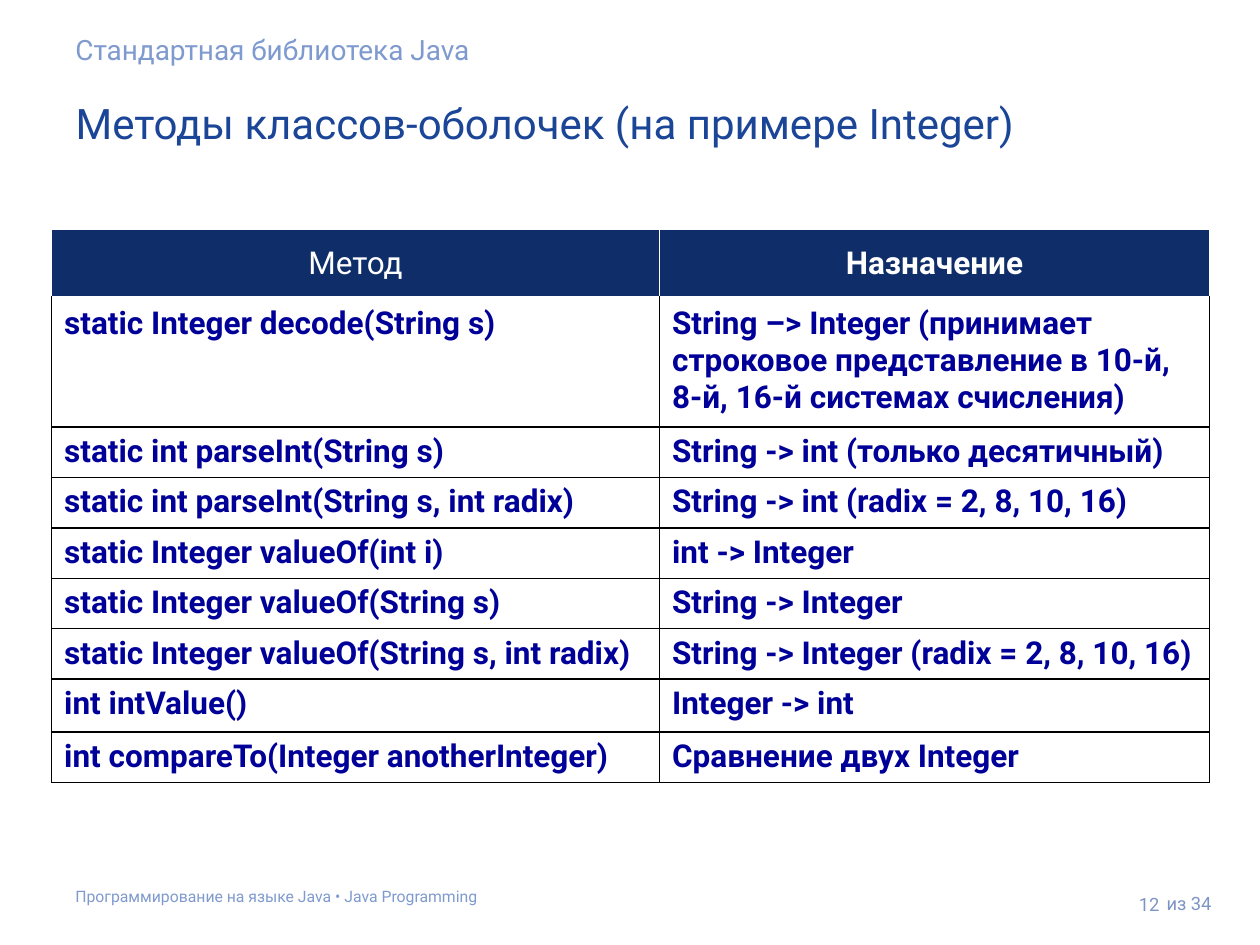
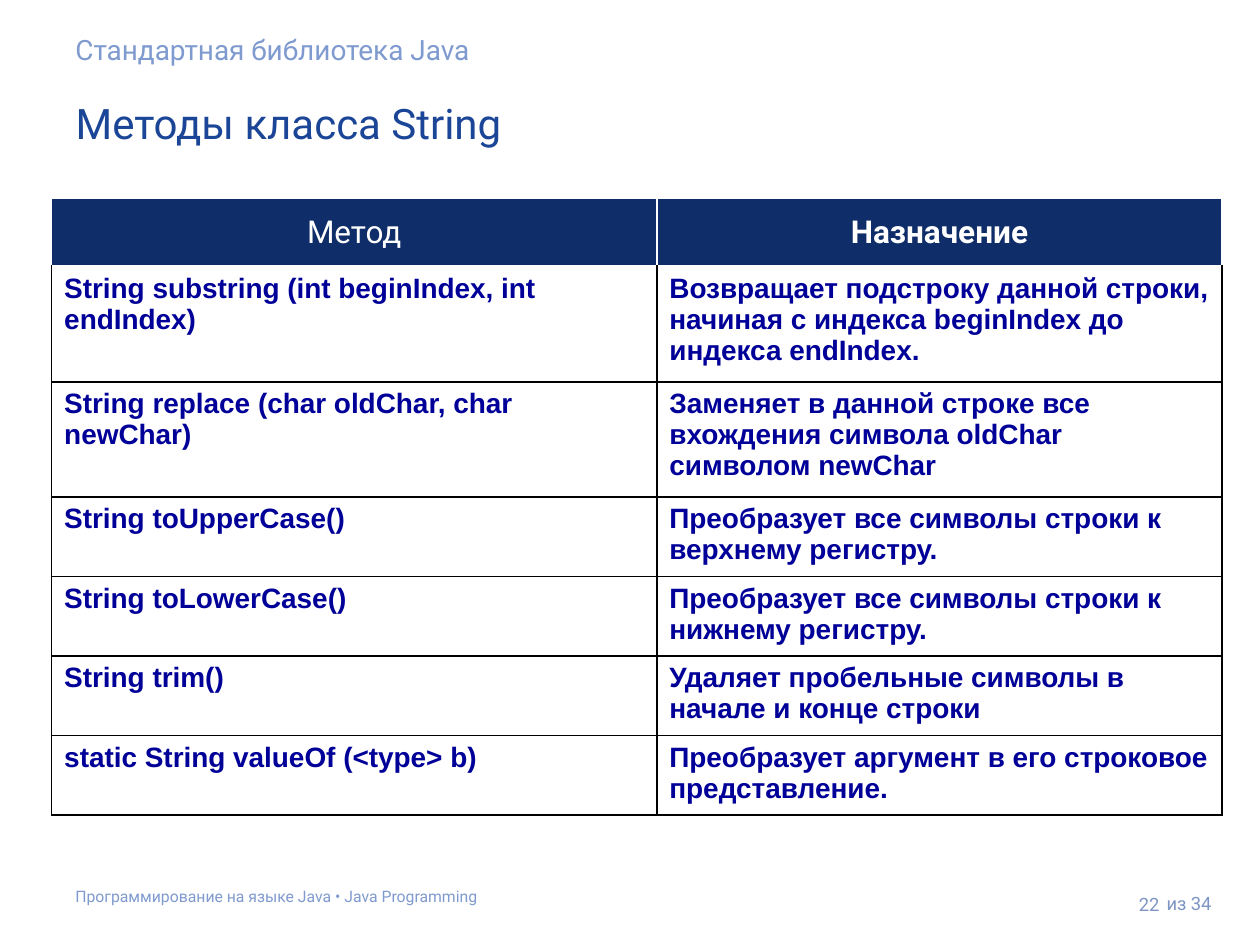
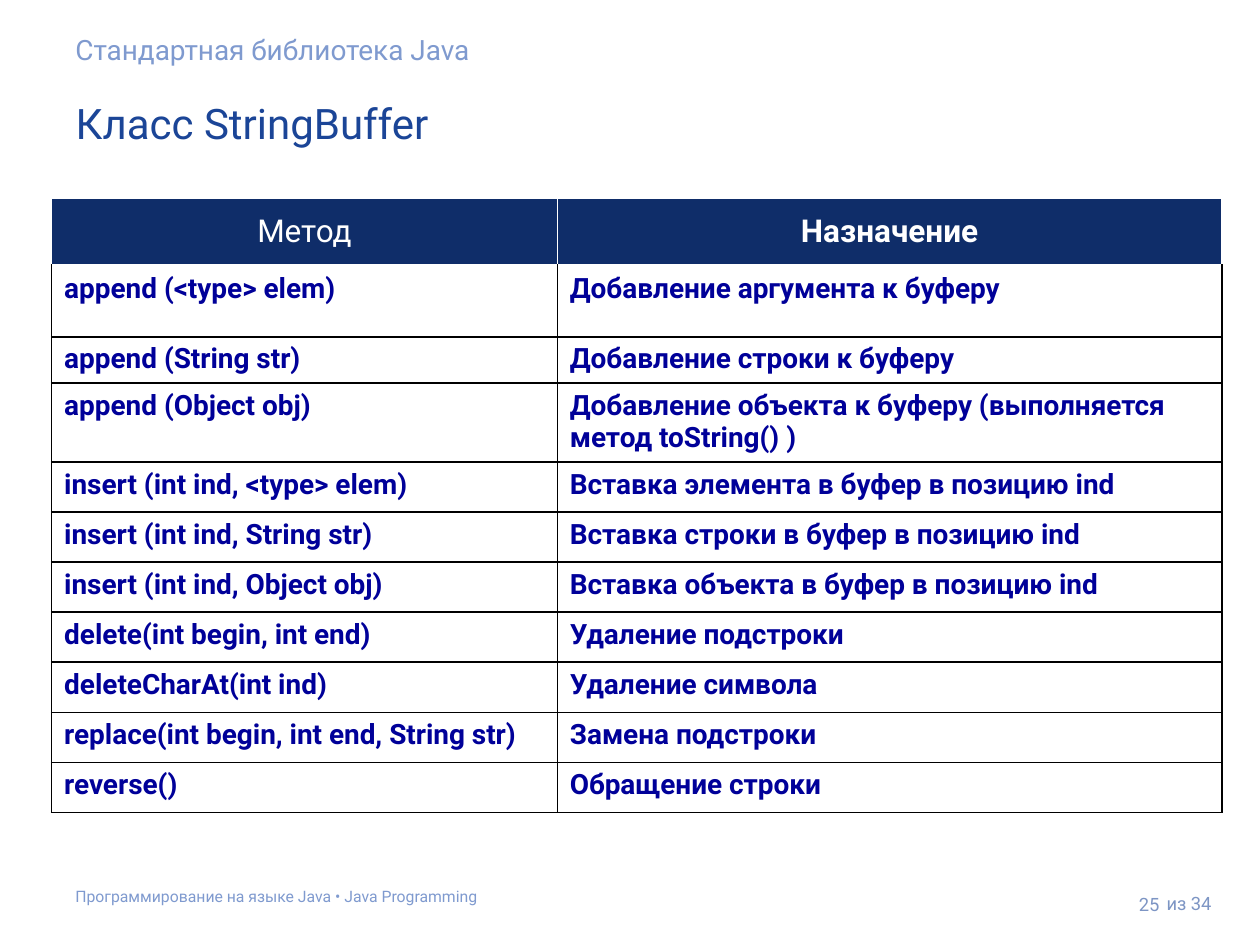
from dataclasses import dataclass

from lxml import etree
from pptx import Presentation
from pptx import util as u
from pptx.dml.color import RGBColor
from pptx.enum import text
from pptx.oxml.ns import qn


@dataclass(frozen=True)
class TextStyle:
    """Type settings of one kind of text."""

    size: float
    color: str
    font: str = "Roboto"
    bold: bool = False
    align: text.PP_ALIGN = text.PP_ALIGN.LEFT


@dataclass(frozen=True)
class Theme:
    """Colours and type sizes used by every slide."""

    title: TextStyle = TextStyle(24, "1B4597")
    section: TextStyle = TextStyle(16, "7F9ACF")
    footer: TextStyle = TextStyle(9, "7F9ACF")
    page: TextStyle = TextStyle(10.5, "7D95C4", align=text.PP_ALIGN.RIGHT)
    total: TextStyle = TextStyle(10.5, "7D95C4")
    heading_method: TextStyle = TextStyle(18, "FFFFFF", align=text.PP_ALIGN.CENTER)
    heading_purpose: TextStyle = TextStyle(18, "FFFFFF", bold=True, align=text.PP_ALIGN.CENTER)
    body_color: str = "000099"
    heading_fill: str = "0F2D69"
    light_line: str = "FFFFFF"
    dark_line: str = "000000"


@dataclass(frozen=True)
class Box:
    """A rectangle in inches."""

    left: float
    top: float
    width: float
    height: float

    def place(self) -> tuple[int, ...]:
        """Return the rectangle in slide units."""
        return tuple(u.Inches(n) for n in (self.left, self.top, self.width, self.height))


@dataclass(frozen=True)
class Label:
    """A text that stands at the same place on every slide."""

    wording: str
    box: Box
    style: TextStyle
    anchor: text.MSO_ANCHOR = text.MSO_ANCHOR.TOP
    margin: float = 0.1


@dataclass(frozen=True)
class MethodSlide:
    """A slide with a table of methods; row shares include the heading row."""

    title: str
    page: int
    box: Box
    method_share: float
    row_shares: tuple[float, ...]
    methods: tuple[tuple[str, str], ...]
    size: float = 16
    font: str = "Roboto"


THEME = Theme()
MIDDLE = text.MSO_ANCHOR.MIDDLE
TITLE_BOX = Box(0.5, 0.67, 9.19, 0.61)
PAGE_BOX = Box(8.7, 6.89, 0.6, 0.57)
HEADINGS = (("Метод", THEME.heading_method), ("Назначение", THEME.heading_purpose))
LABELS = (
    Label("Программирование на языке Java • Java Programming", Box(0.5, 6.94, 9, 0.35), THEME.footer),
    Label("из 34", Box(9.16, 6.97, 0.69, 0.4), THEME.total, MIDDLE, 0.05),
    Label("Стандартная библиотека Java", Box(0.5, 0.16, 9.19, 0.47), THEME.section),
)
SLIDES = (
    MethodSlide(
        "Методы классов-оболочек (на примере Integer)", 12,
        Box(0.41, 1.82, 9.19, 4.39), 0.525,
        (0.55, 1.02, *[0.4] * 5, 0.42, 0.4),
        (
            ("static Integer decode(String s)",
             "String –> Integer (принимает строковое представление в 10-й, 8-й, 16-й системах счисления)"),
            ("static int parseInt(String s)", "String -> int (только десятичный)"),
            ("static int parseInt(String s, int radix)", "String -> int (radix = 2, 8, 10, 16)"),
            ("static Integer valueOf(int i)", "int -> Integer"),
            ("static Integer valueOf(String s)", "String -> Integer"),
            ("static Integer valueOf(String s, int radix)", "String -> Integer (radix = 2, 8, 10, 16)"),
            ("int intValue()", "Integer -> int"),
            ("int compareTo(Integer anotherInteger)", "Сравнение двух Integer"),
        ),
        size=18,
    ),
    MethodSlide(
        "Методы класса String", 22,
        Box(0.41, 1.57, 9.29, 4.9), 0.517,
        (0.55, 0.91, 0.91, *[0.63] * 4),
        (
            ("String substring (int beginIndex, int endIndex)",
             "Возвращает подстроку данной строки, начиная с индекса beginIndex до индекса endIndex."),
            ("String replace (char oldChar, char newChar)",
             "Заменяет в данной строке все вхождения символа oldChar символом newChar"),
            ("String toUpperCase()", "Преобразует все символы строки к верхнему регистру."),
            ("String toLowerCase()", "Преобразует все символы строки к нижнему регистру."),
            ("String trim()", "Удаляет пробельные символы в начале и конце строки"),
            ("static String valueOf (<type> b)", "Преобразует аргумент в его строковое представление."),
        ),
        font="Arial",
    ),
    MethodSlide(
        "Класс StringBuffer", 25,
        Box(0.41, 1.57, 9.29, 4.88), 0.432,
        (0.55, 0.56, 0.37, 0.63, *[0.4] * 7),
        (
            ("append (<type> elem)", "Добавление аргумента к буферу"),
            ("append (String str)", "Добавление строки к буферу"),
            ("append (Object obj)", "Добавление объекта к буферу (выполняется метод toString() )"),
            ("insert (int ind, <type> elem)", "Вставка элемента в буфер в позицию ind"),
            ("insert (int ind, String str)", "Вставка строки в буфер в позицию ind"),
            ("insert (int ind, Object obj)", "Вставка объекта в буфер в позицию ind"),
            ("delete(int begin, int end)", "Удаление подстроки"),
            ("deleteCharAt(int ind)", "Удаление символа"),
            ("replace(int begin, int end, String str)", "Замена подстроки"),
            ("reverse()", "Обращение строки"),
        ),
    ),
)


def write(frame, wording: str, style: TextStyle):
    """Fill a text frame with one styled paragraph and return it."""
    frame.text = wording
    paragraph = frame.paragraphs[0]
    paragraph.alignment = style.align
    font = paragraph.font
    font.size, font.name, font.bold = u.Pt(style.size), style.font, style.bold
    font.color.rgb = RGBColor.from_string(style.color)
    return paragraph


def fit_frame(frame, anchor: text.MSO_ANCHOR, margin: float) -> None:
    """Set wrapping, anchor and insets of a text frame."""
    frame.word_wrap = True
    frame.auto_size = text.MSO_AUTO_SIZE.NONE
    frame.vertical_anchor = anchor
    frame.margin_left = frame.margin_right = u.Inches(0.1)
    frame.margin_top = frame.margin_bottom = u.Inches(margin)


def add_label(slide, label: Label) -> None:
    """Draw one label as a text box."""
    frame = slide.shapes.add_textbox(*label.box.place()).text_frame
    fit_frame(frame, label.anchor, label.margin)
    write(frame, label.wording, label.style)


def set_title(slide, wording: str) -> None:
    """Place and format the title placeholder."""
    title = slide.shapes.title
    title.left, title.top, title.width, title.height = TITLE_BOX.place()
    fit_frame(title.text_frame, text.MSO_ANCHOR.TOP, 0.1)
    write(title.text_frame, wording, THEME.title)


def set_borders(cell, **borders: tuple[str, float]) -> None:
    """Draw cell borders given as side=(colour, points), in the order L, R, T, B."""
    properties = cell._tc.get_or_add_tcPr()
    for side, (color, points) in borders.items():
        line = etree.SubElement(properties, qn(f"a:ln{side}"), w=str(u.Pt(points)))
        fill = etree.SubElement(line, qn("a:solidFill"))
        etree.SubElement(fill, qn("a:srgbClr"), val=color)


def add_space_before(paragraph, percent: int) -> None:
    """Set the space before a paragraph as a share of its line."""
    space = etree.Element(qn("a:spcBef"))
    etree.SubElement(space, qn("a:spcPct"), val=str(percent * 1000))
    paragraph._p.get_or_add_pPr().insert(0, space)


def format_heading(cell, wording: str, style: TextStyle) -> None:
    """Fill one cell of the heading row."""
    light = (THEME.light_line, 1)
    set_borders(cell, L=light, R=light, T=light, B=(THEME.light_line, 3))
    cell.fill.solid()
    cell.fill.fore_color.rgb = RGBColor.from_string(THEME.heading_fill)
    cell.vertical_anchor = MIDDLE
    write(cell.text_frame, wording, style)


def format_body(cell, wording: str, style: TextStyle, is_first: bool) -> None:
    """Fill one cell below the heading row."""
    dark = (THEME.dark_line, 1)
    set_borders(cell, L=dark, R=dark, T=(THEME.light_line, 1) if is_first else dark, B=dark)
    cell.fill.background()
    add_space_before(write(cell.text_frame, wording, style), 20)


def add_methods(slide, content: MethodSlide) -> None:
    """Draw the table of methods."""
    box = content.box
    table = slide.shapes.add_table(len(content.row_shares), len(HEADINGS), *box.place()).table
    table.first_row = table.horz_banding = False
    for column, share in zip(table.columns, (content.method_share, 1 - content.method_share)):
        column.width = u.Inches(box.width * share)
    for row, share in zip(table.rows, content.row_shares):
        row.height = u.Inches(box.height * share / sum(content.row_shares))
    for column, (wording, style) in enumerate(HEADINGS):
        format_heading(table.cell(0, column), wording, style)
    body = TextStyle(content.size, THEME.body_color, content.font, bold=True)
    for row, method in enumerate(content.methods, start=1):
        for column, wording in enumerate(method):
            format_body(table.cell(row, column), wording, body, row == 1)


def main() -> None:
    """Build the presentation."""
    presentation = Presentation()
    presentation.slide_width, presentation.slide_height = u.Inches(10), u.Inches(7.5)
    for content in SLIDES:
        slide = presentation.slides.add_slide(presentation.slide_layouts[5])
        set_title(slide, content.title)
        for label in (*LABELS, Label(str(content.page), PAGE_BOX, THEME.page, MIDDLE)):
            add_label(slide, label)
        add_methods(slide, content)
    presentation.save("out.pptx")


if __name__ == "__main__":
    main()
